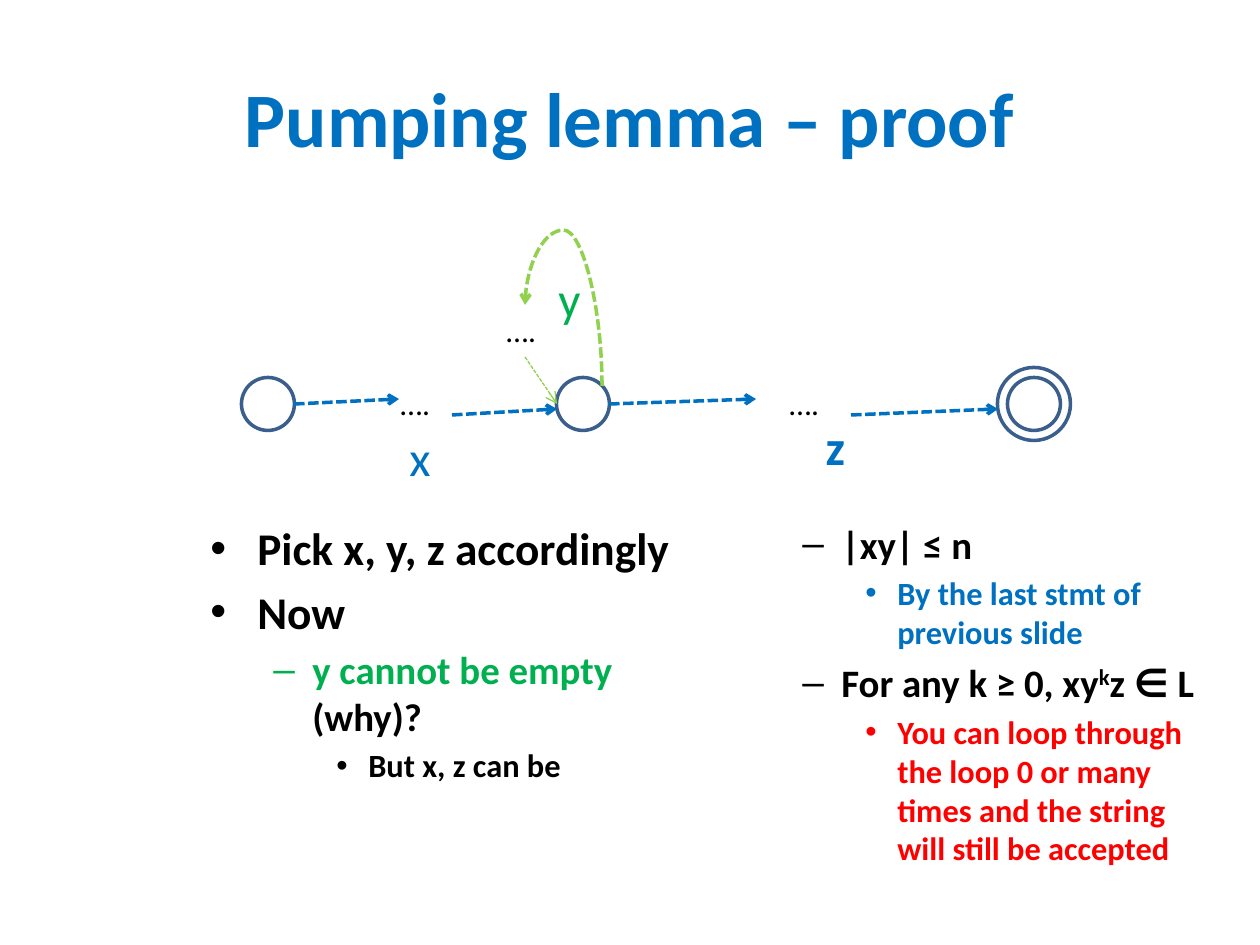
from lxml.etree import SubElement
from pptx import Presentation
from pptx.dml.color import RGBColor
from pptx.enum.dml import MSO_LINE
from pptx.enum.shapes import MSO_CONNECTOR as CONNECTOR, MSO_SHAPE as SHAPE
from pptx.enum.text import MSO_ANCHOR as ANCHOR, PP_ALIGN as ALIGN
from pptx.oxml.ns import qn
from pptx.util import Emu, Pt

EMU_PER_PX = 914400 / 126
FONT = "Calibri"
COLORS = {
    "black": "000000",
    "blue": "0070C0",
    "green": "00B050",
    "lime": "92D050",
    "red": "FF0000",
    "outline": "3A5F8C",
}
# Per outline level: text size in points, bullet, left margin and hanging indent in px
LEVELS = [(25.9, "•", 47, 47), (22.2, "–", 102, 39), (18.5, "•", 158, 32)]


def px(length):
    return Emu(round(length * EMU_PER_PX))


def rgb(name):
    return RGBColor.from_string(COLORS[name])


def format_font(font, size, color="black", bold=False):
    font.name = FONT
    font.size = Pt(size)
    font.bold = bold
    font.color.rgb = rgb(color)


def add_span(para, text, size=18, color="black", bold=False, superscript=False):
    span = para.add_run()
    span.text = text
    format_font(span.font, size, color, bold)
    if superscript:
        span._r.get_or_add_rPr().set("baseline", "30000")


def add_box(slide, left, top, width, height, wrap=True):
    box = slide.shapes.add_textbox(px(left), px(top), px(width), px(height))
    box.text_frame.word_wrap = wrap
    return box.text_frame


def add_label(slide, text, left, top, width, height, align=ALIGN.LEFT, wrap=True, **style):
    para = add_box(slide, left, top, width, height, wrap).paragraphs[0]
    para.alignment = align
    add_span(para, text, **style)


def set_bullet(para, char, margin, hang):
    props = para._p.get_or_add_pPr()
    props.set("marL", str(px(margin)))
    props.set("indent", str(-px(hang)))
    SubElement(props, qn("a:buFont")).set("typeface", "Arial")
    SubElement(props, qn("a:buChar")).set("char", char)


def add_outline(slide, left, items):
    """Each item is a level followed by spans of (text, format)."""
    frame = add_box(slide, left, 514, 504, 338)
    for index, (level, *spans) in enumerate(items):
        para = frame.add_paragraph() if index else frame.paragraphs[0]
        size, char, margin, hang = LEVELS[level]
        para.level = level
        set_bullet(para, char, margin, hang)
        if index:
            para.space_before = Pt(round(size * 0.2, 1))
        for text, style in spans:
            add_span(para, text, size=size, bold=True, **style)


def add_state(slide, center_x, center_y, diameter):
    corner = px(center_x - diameter / 2), px(center_y - diameter / 2)
    state = slide.shapes.add_shape(SHAPE.OVAL, *corner, px(diameter), px(diameter))
    state.shadow.inherit = False
    state.fill.background()
    state.line.color.rgb = rgb("outline")
    state.line.width = Pt(2)


def add_arrow(slide, start, end, color="blue", width=2, kind=CONNECTOR.STRAIGHT):
    arrow = slide.shapes.add_connector(kind, *map(px, start + end))
    arrow.line.color.rgb = rgb(color)
    arrow.line.width = Pt(width)
    arrow.line.dash_style = MSO_LINE.SQUARE_DOT
    SubElement(arrow.line._get_or_add_ln(), qn("a:tailEnd")).set("type", "arrow")
    SubElement(arrow._element.spPr, qn("a:effectLst"))
    return arrow


def add_loop(slide):
    """Curved arrow turned by 270 degrees, bulging far above its end point."""
    loop = add_arrow(slide, (523, 384), (604, 307), "lime", kind=CONNECTOR.CURVE)
    props = loop._element.spPr
    props.find(qn("a:xfrm")).set("rot", str(270 * 60000))
    geometry = props.find(qn("a:prstGeom"))
    adjustments = geometry.find(qn("a:avLst"))
    if adjustments is None:
        adjustments = SubElement(geometry, qn("a:avLst"))
    guide = SubElement(adjustments, qn("a:gd"))
    guide.set("name", "adj1")
    guide.set("fmla", "val 192500")


def add_title(slide, text):
    title = slide.shapes.title
    title.left, title.top, title.width, title.height = map(px, (63, 38, 1134, 158))
    title.text_frame.vertical_anchor = ANCHOR.MIDDLE
    para = title.text_frame.paragraphs[0]
    para.alignment = ALIGN.CENTER
    add_span(para, text, size=44, color="blue", bold=True)


def add_automaton(slide):
    for center_x, diameter in ((268, 53), (583, 53), (1034, 73), (1034, 53)):
        add_state(slide, center_x, 404, diameter)

    for start, end in (
        ((294, 404), (399, 399)),
        ((609, 404), (756, 399)),
        ((851, 415), (998, 409)),
        ((452, 415), (557, 409)),
    ):
        add_arrow(slide, start, end)
    add_loop(slide)
    add_arrow(slide, (525, 357), (557, 404), "lime", 0.75)

    for left, top in ((388, 378), (777, 378), (494, 305)):
        add_label(slide, "….", left, top, 64, 50, wrap=False)
    add_label(slide, "x", 294, 421, 252, 72, ALIGN.CENTER, size=28, color="blue")
    add_label(slide, "y", 546, 262, 63, 72, size=28, color="green")
    add_label(slide, "z", 620, 410, 431, 72, ALIGN.CENTER, size=28, color="blue", bold=True)


def main():
    deck = Presentation()
    deck.slide_width, deck.slide_height = px(1260), px(945)
    slide = deck.slides.add_slide(deck.slide_layouts[5])
    add_title(slide, "Pumping lemma – proof")
    add_outline(slide, 198, [
        (0, ("Pick x, y, z accordingly", {})),
        (0, ("Now", {})),
        (1, ("y cannot be empty ", {"color": "green"}), ("(why)?", {})),
        (2, ("But x, z can be", {})),
    ])
    add_outline(slide, 727, [
        (1, ("|xy| ≤ n", {})),
        (2, ("By the last stmt of previous slide", {"color": "blue"})),
        (1, ("For any k ≥ 0, xy", {}), ("k", {"superscript": True}), ("z ∈ L", {})),
        (2, ("You can loop through the loop 0 or many times and the string "
             "will still be accepted", {"color": "red"})),
    ])
    add_automaton(slide)
    deck.save("out.pptx")


if __name__ == "__main__":
    main()
